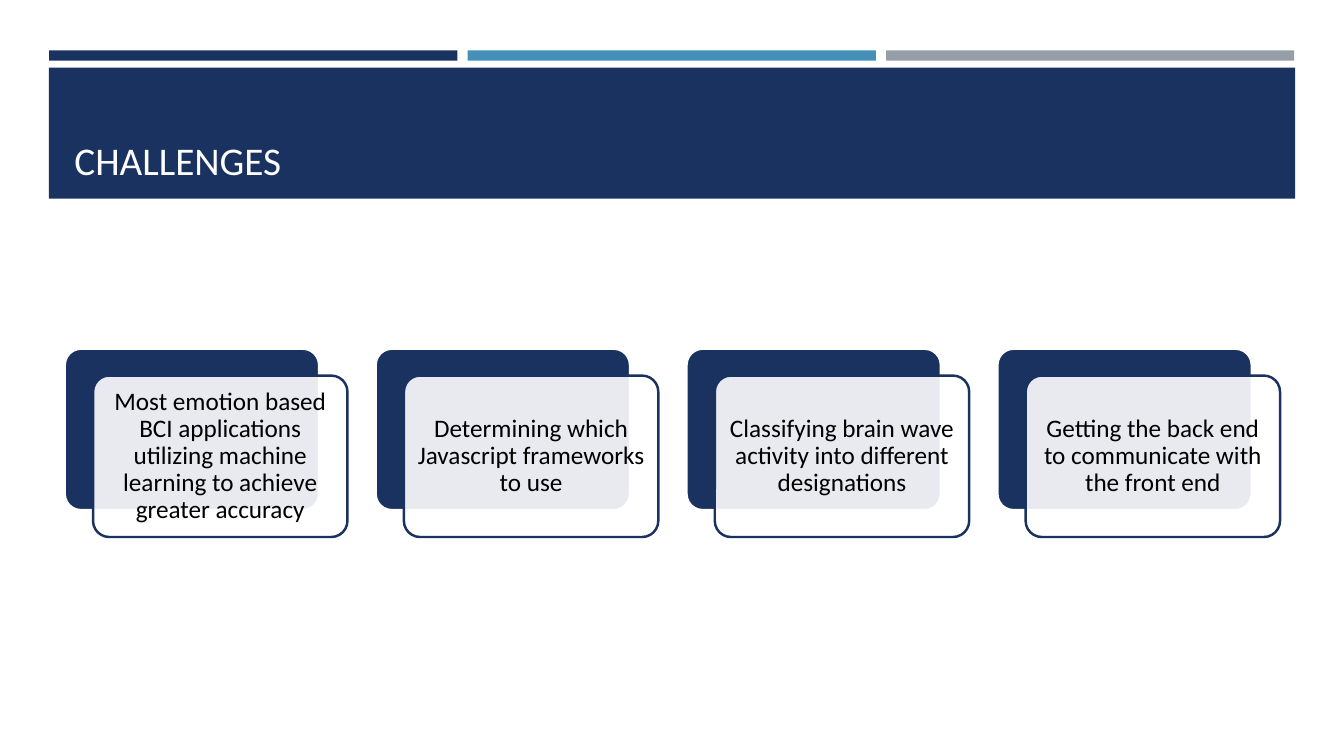
from dataclasses import dataclass

from lxml import etree
from pptx import Presentation
from pptx.dml.color import RGBColor
from pptx.enum.shapes import MSO_SHAPE
from pptx.enum.text import MSO_ANCHOR, MSO_AUTO_SIZE, PP_ALIGN
from pptx.oxml.ns import qn
from pptx.shapes.autoshape import Shape
from pptx.slide import Slide
from pptx.util import Pt

RECT, ROUNDED = MSO_SHAPE.RECTANGLE, MSO_SHAPE.ROUNDED_RECTANGLE
MIDDLE, BOTTOM = MSO_ANCHOR.MIDDLE, MSO_ANCHOR.BOTTOM
LEFT, CENTER = PP_ALIGN.LEFT, PP_ALIGN.CENTER
NO_AUTOFIT = MSO_AUTO_SIZE.NONE
TITLE_ONLY = 5


@dataclass(frozen=True)
class Theme:
    navy: RGBColor = RGBColor(0x1A, 0x32, 0x60)
    blue: RGBColor = RGBColor(0x45, 0x90, 0xB8)
    grey: RGBColor = RGBColor(0x96, 0x9F, 0xA7)
    white: RGBColor = RGBColor(0xFF, 0xFF, 0xFF)
    title_text: RGBColor = RGBColor(0xFF, 0xFE, 0xFF)
    card_text: RGBColor = RGBColor(0, 0, 0)
    font: str = "Calibri"
    title_size: float = 28
    card_size: float = 18
    outline: float = 1.75
    card_opacity: int = 90


@dataclass(frozen=True)
class Box:
    left: float
    top: float
    width: float
    height: float

    def shifted(self, dx: float, dy: float = 0) -> "Box":
        return Box(self.left + dx, self.top + dy, self.width, self.height)


THEME = Theme()

FIRST_BAR = Box(35.1, 36, 291.6, 7.4)
BAR_PITCH = 298.9
BAR_COLORS = [THEME.navy, THEME.blue, THEME.grey]

BAND = Box(34.9, 48.4, 890.2, 93.6)
TITLE = Box(46, 55.4, 868.3, 79.9)

FIRST_CARD = Box(46.3, 249.1, 181.7, 115.3)
CARD_PITCH = 222.05
FRONT_DX, FRONT_DY = 20.2, 19.2
CARD_INSET = 5
CHALLENGES = [
    "Most emotion based BCI applications utilizing machine learning to achieve greater accuracy",
    "Determining which Javascript frameworks to use",
    "Classifying brain wave activity into different designations",
    "Getting the back end to communicate with the front end",
]


def place(sp: Shape, box: Box) -> None:
    sp.left, sp.top = Pt(box.left), Pt(box.top)
    sp.width, sp.height = Pt(box.width), Pt(box.height)


def add_block(slide: Slide, box: Box, fill: RGBColor, kind: MSO_SHAPE = RECT,
              line: RGBColor | None = None) -> Shape:
    sp = slide.shapes.add_shape(kind, 0, 0, 0, 0)
    place(sp, box)
    sp.shadow.inherit = False
    sp.fill.solid()
    sp.fill.fore_color.rgb = fill
    if line is None:
        sp.line.fill.background()
    else:
        sp.line.color.rgb = line
        sp.line.width = Pt(THEME.outline)
    if kind == ROUNDED:
        sp.adjustments[0] = 0.1
    return sp


def set_opacity(sp: Shape, percent: int) -> None:
    color = sp._element.spPr.find(qn("a:solidFill"))[0]
    etree.SubElement(color, qn("a:alpha"), val=str(percent * 1000))


def write(sp: Shape, text: str, size: float, color: RGBColor,
          align: PP_ALIGN, anchor: MSO_ANCHOR) -> None:
    tf = sp.text_frame
    tf.word_wrap = True
    tf.auto_size = NO_AUTOFIT
    tf.vertical_anchor = anchor
    p = tf.paragraphs[0]
    p.text = text
    p.alignment = align
    p.line_spacing = 0.9
    p.font.name = THEME.font
    p.font.size = Pt(size)
    p.font.color.rgb = color


def add_title(slide: Slide, text: str) -> None:
    """Draw the navy band and bring the title placeholder in front of it."""
    add_block(slide, BAND, THEME.navy)
    title = slide.shapes.title
    slide.shapes._spTree.append(title._element)
    place(title, TITLE)
    write(title, text, THEME.title_size, THEME.title_text, LEFT, BOTTOM)


def add_card(slide: Slide, box: Box, text: str) -> None:
    """Draw a navy back plate with an offset translucent text card."""
    add_block(slide, box, THEME.navy, ROUNDED, THEME.white)
    front = add_block(slide, box.shifted(FRONT_DX, FRONT_DY), THEME.white,
                      ROUNDED, THEME.navy)
    set_opacity(front, THEME.card_opacity)
    tf = front.text_frame
    tf.margin_left = tf.margin_right = Pt(CARD_INSET)
    tf.margin_top = tf.margin_bottom = Pt(CARD_INSET)
    write(front, text, THEME.card_size, THEME.card_text, CENTER, MIDDLE)


def main() -> None:
    prs = Presentation()
    prs.slide_width, prs.slide_height = Pt(960), Pt(540)
    slide = prs.slides.add_slide(prs.slide_layouts[TITLE_ONLY])
    for i, color in enumerate(BAR_COLORS):
        add_block(slide, FIRST_BAR.shifted(i * BAR_PITCH), color)
    add_title(slide, "CHALLENGES")
    for i, text in enumerate(CHALLENGES):
        add_card(slide, FIRST_CARD.shifted(i * CARD_PITCH), text)
    prs.save("out.pptx")


if __name__ == "__main__":
    main()
